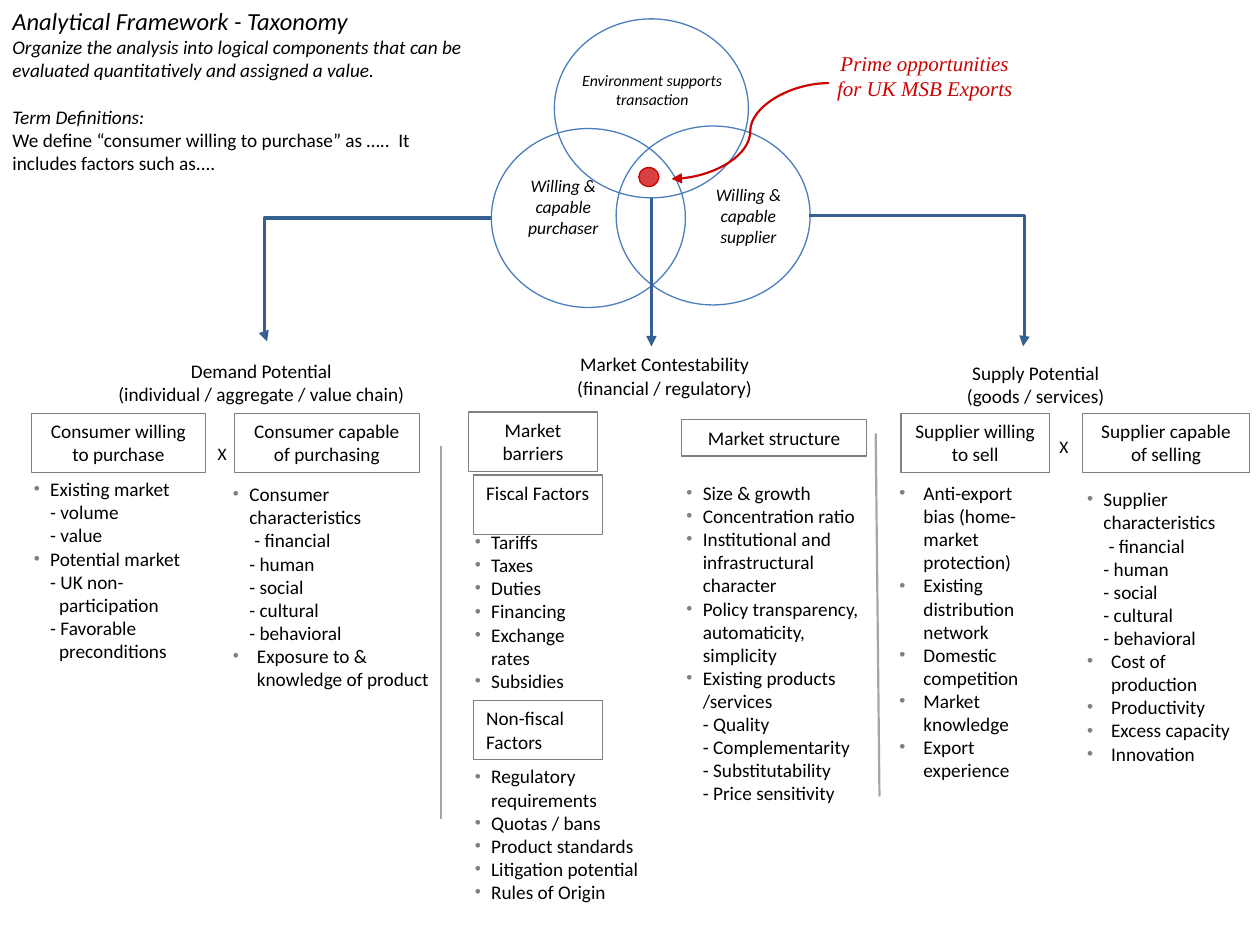
"""Build the analytical framework taxonomy slide."""
from dataclasses import dataclass

from lxml import etree
from pptx import Presentation
from pptx.dml.color import RGBColor
from pptx.enum.shapes import MSO_CONNECTOR, MSO_SHAPE
from pptx.enum.text import MSO_ANCHOR, PP_ALIGN
from pptx.oxml.ns import qn
from pptx.util import Inches, Pt

LEFT, CENTER, TOP = PP_ALIGN.LEFT, PP_ALIGN.CENTER, MSO_ANCHOR.TOP
RECT, OVAL = MSO_SHAPE.RECTANGLE, MSO_SHAPE.OVAL
LINE, BENT, CURVE = MSO_CONNECTOR.STRAIGHT, MSO_CONNECTOR.ELBOW, MSO_CONNECTOR.CURVE


@dataclass(frozen=True)
class Theme:
    ink: RGBColor = RGBColor(0x00, 0x00, 0x00)
    gray: RGBColor = RGBColor(0x80, 0x80, 0x80)
    rule: RGBColor = RGBColor(0xA6, 0xA6, 0xA6)
    ring: RGBColor = RGBColor(0x4B, 0x7E, 0xBC)
    navy: RGBColor = RGBColor(0x37, 0x60, 0x92)
    red: RGBColor = RGBColor(0xCB, 0x02, 0x02)
    sans: str = "Calibri"
    serif: str = "Times New Roman"
    title: int = 14
    call: int = 12
    body: int = 11
    label: int = 10
    small: int = 9
    thin: float = 0.75
    mid: float = 1.25
    thick: float = 2


theme = Theme()
deck = Presentation()
deck.slide_width, deck.slide_height = Inches(10), Inches(7.5)
slide = deck.slides.add_slide(deck.slide_layouts[6])
shapes = slide.shapes


def write(spot, lines, size=theme.body, align=CENTER, slant=False, font=theme.sans,
          color=theme.ink, boxed=False):
    area = [Inches(n) for n in spot]
    if boxed:
        shape = shapes.add_shape(RECT, *area)
        shape.shadow.inherit = False
        shape.fill.background()
        shape.line.color.rgb = theme.gray
        shape.line.width = Pt(theme.thin)
    else:
        shape = shapes.add_textbox(*area)
    frame = shape.text_frame
    frame.word_wrap = True
    frame.vertical_anchor = TOP
    frame.text = "\n".join(lines)
    for para in frame.paragraphs:
        para.alignment = align
        for run in para.runs:
            run.font.name, run.font.size = font, Pt(size)
            run.font.italic, run.font.color.rgb = slant, color
    return frame


def link(kind, start, end, color, width, tip=True, bend=None):
    line = shapes.add_connector(kind, *[Inches(n) for n in start + end])
    line.line.color.rgb = color
    line.line.width = Pt(width)
    props = line._element.spPr
    if tip:
        etree.SubElement(props.find(qn("a:ln")), qn("a:tailEnd"), type="triangle")
    if bend:
        guides = props.find(qn("a:prstGeom")).find(qn("a:avLst"))
        etree.SubElement(guides, qn("a:gd"), name="adj1", fmla=f"val {bend}")
    etree.SubElement(props, qn("a:effectLst"))


for x, y in [(3.9, 1.02), (4.89, 1), (4.4, 0.15)]:
    ring = shapes.add_shape(OVAL, Inches(x), Inches(y), Inches(1.54), Inches(1.42))
    ring.shadow.inherit = False
    ring.fill.background()
    ring.line.color.rgb = theme.ring
    ring.line.width = Pt(theme.thin)

dot = shapes.add_shape(OVAL, Inches(5.07), Inches(1.33), Inches(0.16), Inches(0.15))
dot.shadow.inherit = False
dot.fill.solid()
dot.fill.fore_color.rgb = dot.line.color.rgb = theme.red
dot.line.width = Pt(theme.thin)
tint = dot._element.spPr.find(qn("a:solidFill"))[0]
etree.SubElement(tint, qn("a:alpha"), val="75000")

for spot, text, size in [
    ((3.98, 1.34, 0.98, 0.61), "Willing & capable purchaser", theme.label),
    ((5.46, 1.41, 0.96, 0.61), "Willing & capable supplier", theme.label),
    ((4.32, 0.51, 1.71, 0.4), "Environment supports transaction", theme.small),
]:
    write(spot, [text], size, slant=True)
write((6.46, 0.35, 1.76, 0.5), ["Prime opportunities for UK MSB Exports"], theme.call,
      slant=True, font=theme.serif, color=theme.red)

link(CURVE, (6.58, 0.66), (5.33, 1.42), theme.red, theme.mid, bend=50000)
link(BENT, (6.42, 1.71), (8.12, 2.75), theme.navy, theme.thick, bend=100600)
link(BENT, (3.9, 1.73), (2.12, 2.71), theme.navy, theme.thick, bend=101200)
link(LINE, (5.17, 1.57), (5.17, 2.75), theme.navy, theme.thick)
link(LINE, (3.5, 3.54), (3.5, 6.5), theme.rule, theme.mid, tip=False)
link(LINE, (6.95, 3.44), (6.98, 6.32), theme.rule, theme.mid, tip=False)

intro = write((0, 0, 3.9, 1.45), [
    "Analytical Framework - Taxonomy",
    "Organize the analysis into logical components that can be evaluated "
    "quantitatively and assigned a value.",
    "Term Definitions:",
    "We define “consumer willing to purchase” as …..  It includes factors such as....",
], align=LEFT, slant=True).paragraphs
intro[0].runs[0].font.size = Pt(theme.title)
intro[2].space_before = Pt(13.4)
intro[3].runs[0].font.italic = False

for spot, lines in [
    ((0.66, 2.8, 2.83, 0.47), ["Demand Potential", "(individual / aggregate / value chain)"]),
    ((4.38, 2.75, 1.79, 0.47), ["Market Contestability", "(financial / regulatory)"]),
    ((7.26, 2.82, 1.92, 0.47), ["Supply Potential", "(goods / services)"]),
]:
    write(spot, lines)

for x, y in [(1.63, 3.47), (8.31, 3.41)]:
    write((x, y, 0.27, 0.27), ["X"], theme.label, LEFT).word_wrap = False

for spot, text, align in [
    ((0.25, 3.28, 1.38, 0.47), "Consumer willing to purchase", CENTER),
    ((1.86, 3.28, 1.47, 0.47), "Consumer capable of purchasing", CENTER),
    ((3.72, 3.27, 1.02, 0.47), "Market barriers", CENTER),
    ((3.76, 3.77, 1.02, 0.47), "Fiscal Factors", LEFT),
    ((3.76, 5.56, 1.02, 0.47), "Non-fiscal Factors", LEFT),
    ((5.41, 3.33, 1.47, 0.29), "Market structure", CENTER),
    ((7.15, 3.28, 1.18, 0.47), "Supplier willing to sell", CENTER),
    ((8.59, 3.28, 1.33, 0.47), "Supplier capable of selling", CENTER),
]:
    write(spot, [text], align=align, boxed=True)

traits = ["~- financial", "- human", "- social", "- cultural", "- behavioral"]
steps = {"-": 0.13, "~": 0.17, ">": 0.2}
lists = [
    ((0.17, 3.74, 1.62, 1.58), 0.13, 0.13, [
        "Existing market", "- volume", "- value", "Potential market",
        "- UK non-", ">participation", "- Favorable", ">preconditions"]),
    ((1.75, 3.78, 1.88, 2.14), 0.13, 0.19, [
        "Consumer characteristics", *traits, "Exposure to & knowledge of product"]),
    ((3.67, 4.16, 1.09, 1.4), 0.13, 0.13, [
        "Tariffs", "Taxes", "Duties", "Financing", "Exchange rates", "Subsidies"]),
    ((3.67, 6.02, 1.74, 1.21), 0.13, 0.13, [
        "Regulatory requirements", "Quotas / bans", "Product standards",
        "Litigation potential", "Rules of Origin"]),
    ((5.35, 3.77, 1.6, 3.06), 0.13, 0.13, [
        "Size & growth", "Concentration ratio",
        "Institutional and infrastructural character",
        "Policy transparency, automaticity, simplicity", "Existing products /services",
        "- Quality", "- Complementarity", "- Substitutability", "- Price sensitivity"]),
    ((7.04, 3.77, 1.31, 2.69), 0.19, 0.19, [
        "Anti-export bias (home-market protection)", "Existing distribution network",
        "Domestic competition", "Market knowledge", "Export experience"]),
    ((8.53, 3.82, 1.47, 2.51), 0.13, 0.19, [
        "Supplier characteristics", *traits, "Cost of production", "Productivity",
        "Excess capacity", "Innovation"]),
]
for spot, first, rest, items in lists:
    frame = write(spot, [item.lstrip("~>") for item in items], align=LEFT)
    for i, (para, item) in enumerate(zip(frame.paragraphs, items)):
        props = para._p.get_or_add_pPr()
        if item[0] in steps:
            props.set("marL", str(Inches(steps[item[0]])))
            continue
        inset = Inches(rest if i else first)
        props.set("marL", str(inset))
        props.set("indent", str(-inset))
        tone = etree.SubElement(props, qn("a:buClr"))
        etree.SubElement(tone, qn("a:srgbClr"), val=str(theme.gray))
        etree.SubElement(props, qn("a:buSzPct"), val="90000")
        etree.SubElement(props, qn("a:buFont"), typeface="Arial")
        etree.SubElement(props, qn("a:buChar"), char="•")

deck.save("out.pptx")
